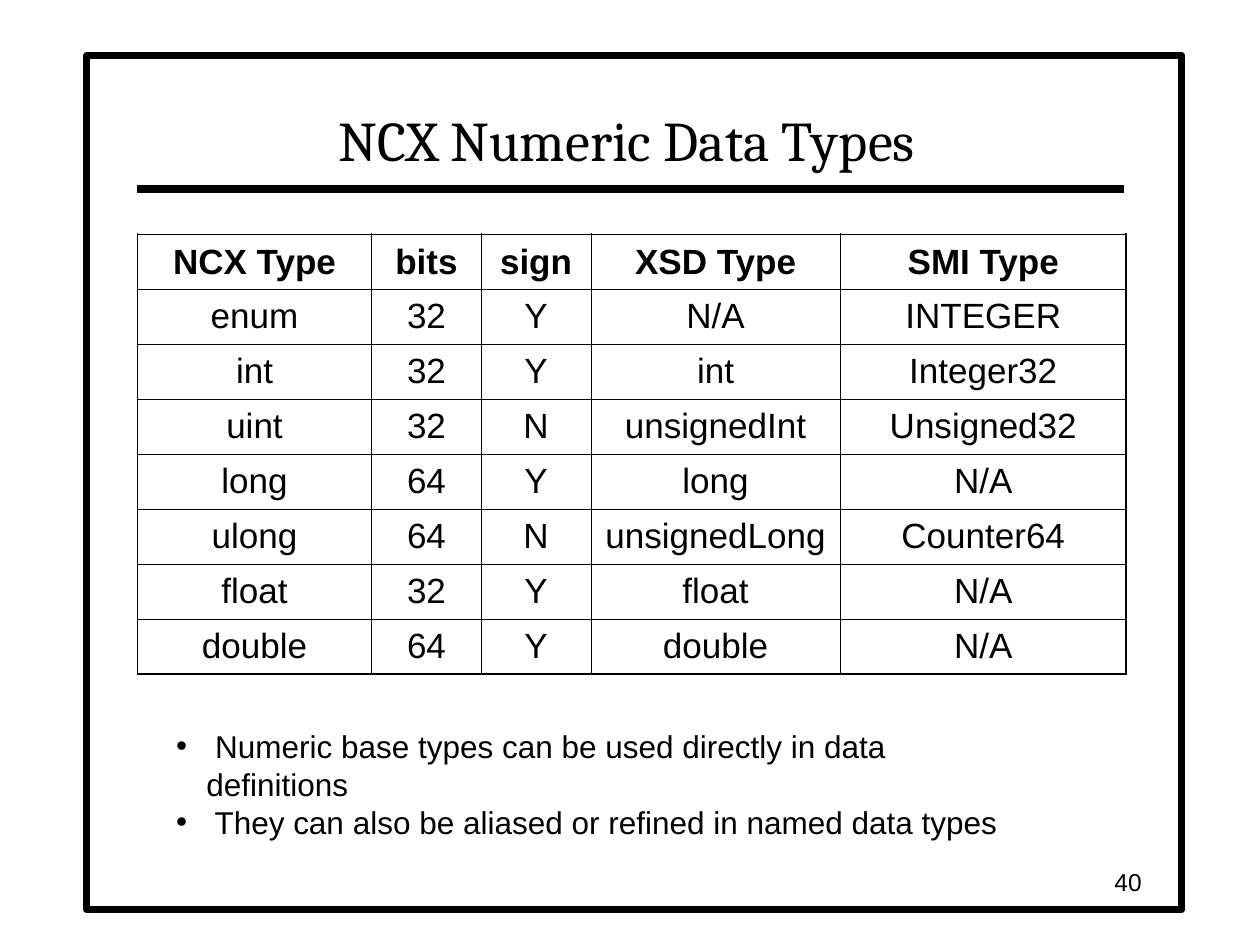
from lxml import etree
from pptx import Presentation
from pptx.dml.color import RGBColor
from pptx.enum.shapes import MSO_CONNECTOR, MSO_SHAPE
from pptx.enum.text import MSO_ANCHOR, MSO_AUTO_SIZE, PP_ALIGN
from pptx.oxml.ns import qn
from pptx.util import Inches, Pt

RECTANGLE = MSO_SHAPE.RECTANGLE
STRAIGHT = MSO_CONNECTOR.STRAIGHT
CENTER, RIGHT = PP_ALIGN.CENTER, PP_ALIGN.RIGHT
MIDDLE, BOTTOM = MSO_ANCHOR.MIDDLE, MSO_ANCHOR.BOTTOM
GROW = MSO_AUTO_SIZE.SHAPE_TO_FIT_TEXT

COLORS = {"ink": "000000", "paper": "FFFFFF"}
INK = RGBColor.from_string(COLORS["ink"])
PAPER = RGBColor.from_string(COLORS["paper"])
THIN, THICK = Pt(0.45), Pt(1.08)

DATA_TYPES = [
    ("NCX Type", "bits", "sign", "XSD Type", "SMI Type"),
    ("enum", "32", "Y", "N/A", "INTEGER"),
    ("int", "32", "Y", "int", "Integer32"),
    ("uint", "32", "N", "unsignedInt", "Unsigned32"),
    ("long", "64", "Y", "long", "N/A"),
    ("ulong", "64", "N", "unsignedLong", "Counter64"),
    ("float", "32", "Y", "float", "N/A"),
    ("double", "64", "Y", "double", "N/A"),
]
COLUMN_SHARES = [18.6, 8.7, 8.7, 19.8, 22.7]
ROW_SHARE = 5.82
REMARKS = [
    " Numeric base types can be used directly in data definitions",
    " They can also be aliased or refined in named data types",
]

deck = Presentation()
deck.slide_width, deck.slide_height = Inches(10), Inches(7.5)


def area(left, top, width, height):
    """Turn percentages of the slide's size into left, top, width, height."""
    across, down = deck.slide_width / 100, deck.slide_height / 100
    return (round(left * across), round(top * down),
            round(width * across), round(height * down))


def write(paragraph, text, size, font="Arial", bold=False):
    run = paragraph.add_run()
    run.text = text
    run.font.size = Pt(size)
    run.font.name = font
    run.font.bold = bold
    run.font.color.rgb = INK


slide = deck.slides.add_slide(deck.slide_layouts[5])
shapes = slide.shapes

# Frame, placed behind the title
frame = shapes.add_shape(RECTANGLE, *area(6.9, 5.87, 86.9, 90.4))
frame.shadow.inherit = False
frame.fill.solid()
frame.fill.fore_color.rgb = PAPER
frame.line.color.rgb = INK
frame.line.width = Pt(4)
title = shapes.title
title._element.addprevious(frame._element)

# Title and the rule under it
title.left, title.top, title.width, title.height = area(10.8, 6.67, 77.9, 12.27)
title.text_frame.vertical_anchor = BOTTOM
heading = title.text_frame.paragraphs[0]
heading.alignment = CENTER
write(heading, "NCX Numeric Data Types", 32, font="Cambria")

rule_left, rule_top, rule_length, _ = area(10.9, 20, 78.3, 0)
rule = shapes.add_connector(STRAIGHT, rule_left, rule_top,
                            rule_left + rule_length, rule_top)
rule.line.color.rgb = INK
rule.line.width = Pt(4.5)
etree.SubElement(rule._element.spPr, qn("a:effectLst"))

# Table of types: thick outside edges, thin inside edges
row_count, column_count = len(DATA_TYPES), len(COLUMN_SHARES)
table = shapes.add_table(
    row_count, column_count,
    *area(10.9, 24.8, sum(COLUMN_SHARES), row_count * ROW_SHARE)).table
for column, share in zip(table.columns, COLUMN_SHARES):
    column.width = area(0, 0, share, 0)[2]

for r, values in enumerate(DATA_TYPES):
    for c, value in enumerate(values):
        cell = table.cell(r, c)
        cell.vertical_anchor = MIDDLE
        entry = cell.text_frame.paragraphs[0]
        entry.alignment = CENTER
        write(entry, value, 20, bold=r == 0)

        properties = cell._tc.get_or_add_tcPr()
        is_outside = {"a:lnL": c == 0, "a:lnR": c == column_count - 1,
                      "a:lnT": r == 0, "a:lnB": r == row_count - 1}
        for side, outside in is_outside.items():
            edge = etree.SubElement(properties, qn(side),
                                    w=str(THICK if outside else THIN))
            edge_fill = etree.SubElement(edge, qn("a:solidFill"))
            etree.SubElement(edge_fill, qn("a:srgbClr"), val=COLORS["ink"])
        cell.fill.background()

# Remarks under the table
remarks = shapes.add_textbox(*area(13, 76.27, 68.7, 9.33)).text_frame
remarks.word_wrap = True
remarks.auto_size = GROW
hanging = area(0, 0, 2.4, 0)[2]
for i, remark in enumerate(REMARKS):
    bullet_item = remarks.add_paragraph() if i else remarks.paragraphs[0]
    layout = bullet_item._p.get_or_add_pPr()
    layout.set("marL", str(hanging))
    layout.set("indent", str(-hanging))
    bullet_color = etree.SubElement(layout, qn("a:buClr"))
    etree.SubElement(bullet_color, qn("a:srgbClr"), val=COLORS["ink"])
    etree.SubElement(layout, qn("a:buFont"), typeface="Arial")
    etree.SubElement(layout, qn("a:buChar"), char="•")
    write(bullet_item, remark, 18)

# Page number
page = shapes.add_textbox(*area(70.8, 91.07, 20.8, 4.4)).text_frame
page.word_wrap = True
page.vertical_anchor = MIDDLE
page.paragraphs[0].alignment = RIGHT
write(page.paragraphs[0], "40", 14)

deck.save("out.pptx")
